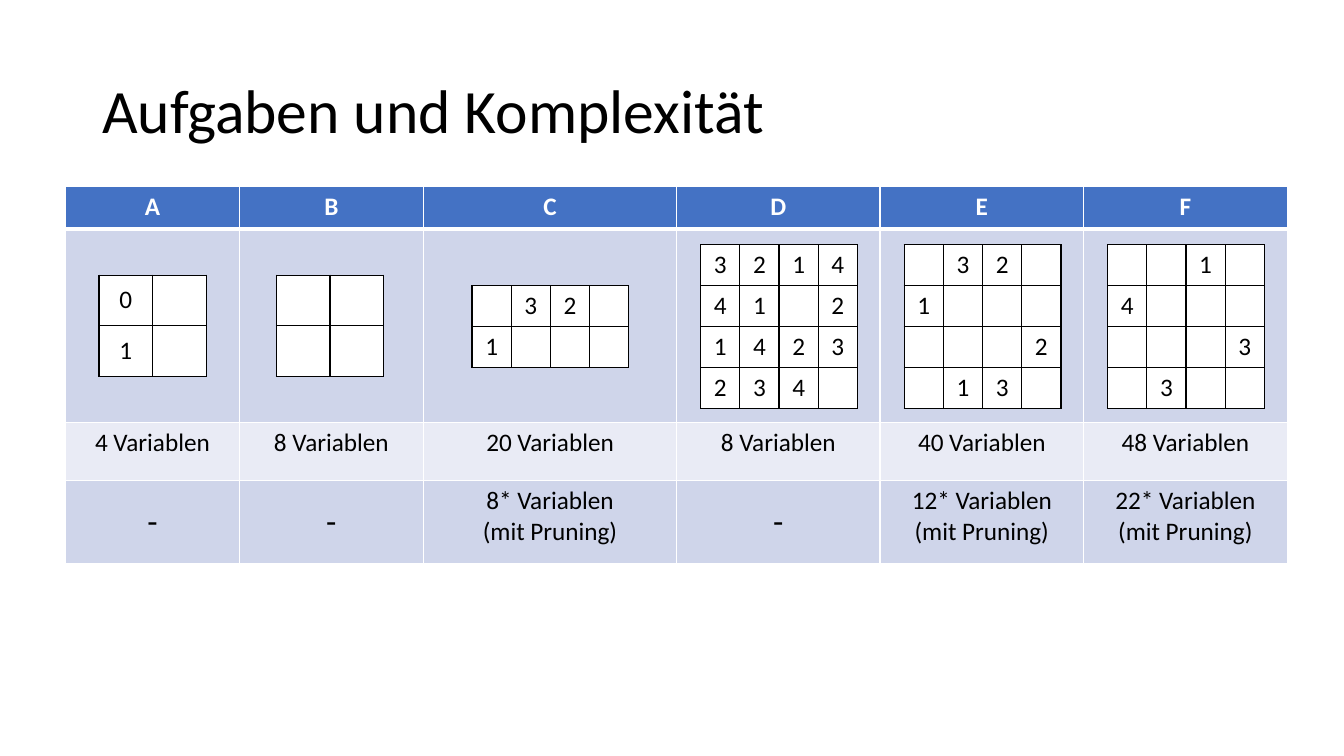
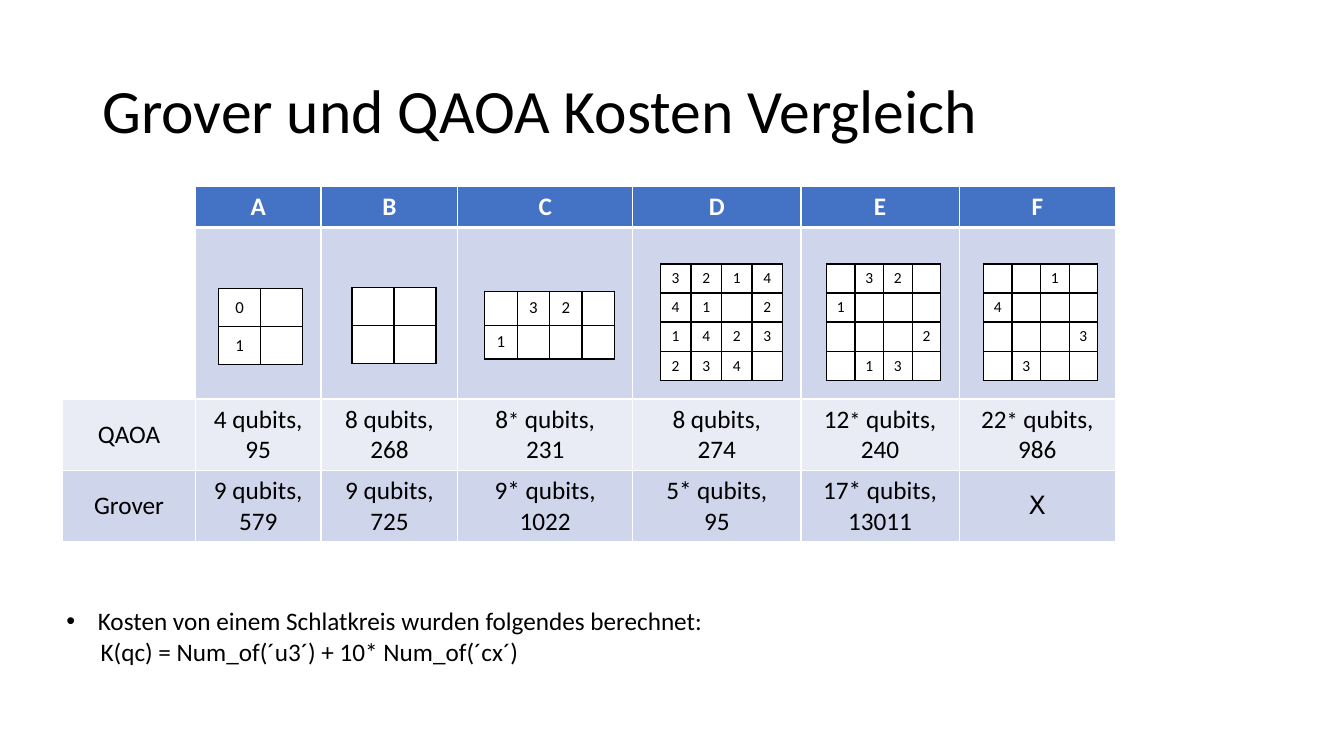
from dataclasses import dataclass

from lxml.etree import SubElement
from pptx import Presentation
from pptx.dml.color import RGBColor
from pptx.enum.text import MSO_ANCHOR, PP_ALIGN
from pptx.oxml.ns import qn
from pptx.util import Pt


@dataclass(frozen=True)
class Theme:
    font: str = "Calibri"
    ink: str = "000000"
    paper: str = "FFFFFF"
    header: str = "4472C4"
    band_dark: str = "CFD5EA"
    band_light: str = "E9EBF5"
    title_size: float = 44
    dash_size: float = 24
    body_size: float = 18
    star_size: float = 16
    small_size: float = 12
    tiny_size: float = 11
    line: float = 1
    header_line: float = 3


T = Theme()
MIDDLE, TOP = MSO_ANCHOR.MIDDLE, MSO_ANCHOR.TOP

LETTERS = "ABCDEF"
PUZZLES = {
    "A": ["0 ", "1 "],
    "B": ["  ", "  "],
    "C": [" 32 ", "1   "],
    "D": ["3214", "41 2", "1423", "234 "],
    "E": [" 32 ", "1   ", "   2", " 13 "],
    "F": ["  1 ", "4   ", "   3", " 3  "],
}


class Deck:
    def __init__(self, theme):
        self.t = theme
        self.prs = Presentation()
        self.prs.slide_width, self.prs.slide_height = Pt(960), Pt(540)
        self.s = None

    def slide(self, title):
        self.s = self.prs.slides.add_slide(self.prs.slide_layouts[6])
        tf = self.box(66, 28.8, 828, 104.4, MIDDLE)
        p = tf.paragraphs[0]
        p.line_spacing = 0.9
        self.run(p, title, self.t.title_size)

    def box(self, x, y, w, h, anchor=TOP):
        tf = self.s.shapes.add_textbox(Pt(x), Pt(y), Pt(w), Pt(h)).text_frame
        tf.word_wrap = True
        tf.vertical_anchor = anchor
        return tf

    def run(self, p, text, size, color=None, bold=False):
        r = p.add_run()
        r.text = text
        f = r.font
        f.name, f.size, f.bold = self.t.font, Pt(size), bold
        f.color.rgb = RGBColor.from_string(color or self.t.ink)

    def note(self, x, y, w, h, bullet, formula):
        tf = self.box(x, y, w, h)
        p = tf.paragraphs[0]
        pPr = p._p.get_or_add_pPr()
        pPr.set("marL", str(Pt(22.5)))
        pPr.set("indent", str(Pt(-22.5)))
        SubElement(pPr, qn("a:buFont")).set("typeface", "Arial")
        SubElement(pPr, qn("a:buChar")).set("char", "•")
        self.run(p, bullet, self.t.body_size)
        p = tf.add_paragraph()
        p._p.get_or_add_pPr().set("marL", str(Pt(24.5)))
        self.run(p, formula, self.t.body_size)

    def table(self, x, y, cols, rows):
        sp = self.s.shapes.add_table(len(rows), len(cols), Pt(x), Pt(y),
                                     Pt(sum(cols)), Pt(sum(rows)))
        tbl = sp.table
        tbl.first_row = tbl.horz_banding = False
        for col, w in zip(tbl.columns, cols):
            col.width = Pt(w)
        for row, h in zip(tbl.rows, rows):
            row.height = Pt(h)
        return tbl

    def cell(self, cell, paras, fill, border, size, color=None, bold=False,
             anchor=MIDDLE, top=None, bottom=None):
        tcPr = cell._tc.get_or_add_tcPr()
        for side, width in zip("LRTB", (None, None, top, bottom)):
            ln = SubElement(tcPr, qn(f"a:ln{side}"), w=str(Pt(width or self.t.line)))
            SubElement(SubElement(ln, qn("a:solidFill")), qn("a:srgbClr"), val=border)
        cell.fill.solid()
        cell.fill.fore_color.rgb = RGBColor.from_string(fill)
        cell.vertical_anchor = anchor
        tf = cell.text_frame
        for i, runs in enumerate(paras):
            p = tf.add_paragraph() if i else tf.paragraphs[0]
            p.alignment = PP_ALIGN.CENTER
            for text, run_size in runs:
                self.run(p, text, run_size or size, color, bold)
        if not paras:
            SubElement(tf.paragraphs[0]._p, qn("a:endParaRPr"), sz=str(int(size * 100)))

    def overview(self, x, y, cols, heights, body, labels=0, anchors=None):
        t = self.t
        tbl = self.table(x, y, cols, heights)
        blank = [()] * labels
        rows = [blank + [lines(c) for c in LETTERS], [()] * len(cols), *body]
        fills = [t.header, t.band_dark, t.band_light, t.band_dark]
        for i, row in enumerate(rows):
            head = i == 0
            for j, paras in enumerate(row):
                self.cell(tbl.cell(i, j), paras,
                          t.paper if i < 2 and j < labels else fills[i],
                          t.paper, t.body_size, t.paper if head else t.ink, head,
                          TOP if head else anchors(i, paras) if anchors else MIDDLE,
                          t.header_line if i == 1 else None,
                          t.header_line if head else None)

    def puzzle(self, name, x, y, w, h, size):
        grid = PUZZLES[name]
        tbl = self.table(x, y, [w] * len(grid[0]), [h] * len(grid))
        for i, row in enumerate(grid):
            for j, digit in enumerate(row):
                c = tbl.cell(i, j)
                c.margin_left = c.margin_right = 0
                self.cell(c, lines(digit.strip()), self.t.paper, self.t.ink, size)


def lines(text):
    return [[(line, None)] for line in text.split("\n")] if text else []


def starred(count, cost):
    return [[(count, None), ("*", T.star_size), (" qubits,", None)], [(cost, None)]]


def qubits(count, cost):
    return lines(f"{count} qubits,\n{cost}")


def pruned(count):
    return lines(f"{count}* Variablen\n(mit Pruning)")


def complexity(d):
    d.slide("Aufgaben und Komplexität")
    dash = [[("-", T.dash_size)]]
    counts = [lines(f"{n} Variablen") for n in (4, 8, 20, 8, 40, 48)]
    reduced = [dash, dash, pruned(8), dash, pruned(12), pruned(22)]
    d.overview(47, 133.4, [123.8, 131.8, 180.7] + [145.4] * 3, [30.2, 138, 41.6, 59.2],
               [counts, reduced],
               anchors=lambda i, paras: MIDDLE if paras == dash else TOP)
    for name, x, y, w, h in [
        ("A", 70.7, 196.5, 38.3, 36.1),
        ("B", 197.4, 196.5, 38.3, 36.1),
        ("C", 337.2, 204, 28, 29.2),
        ("D", 500.5, 174.8, 28, 29.2),
        ("E", 645.9, 174.8, 28, 29.2),
        ("F", 791.2, 174.8, 28, 29.2),
    ]:
        d.puzzle(name, x, y, w, h, T.body_size)


def costs(d):
    d.slide("Grover und QAOA Kosten Vergleich")
    qaoa = [lines("QAOA"), qubits("4", 95), qubits("8", 268), starred("8", "231"),
            qubits("8", 274), starred("12", "240"), starred("22", "986")]
    grover = [lines("Grover"), qubits("9", 579), qubits("9", 725), qubits("9*", 1022),
              qubits("5*", 95), qubits("17*", 13011), lines("𝖷")]
    d.overview(44.8, 133.4, [94.8, 89.8, 97.7, 124.8, 120.4, 112.9, 111.8],
               [29.2, 122.4, 51.1, 51.1], [qaoa, grover], labels=1)
    for name, x, y, w, h, size in [
        ("A", 156.2, 206, 30, 27.2, T.small_size),
        ("B", 251.5, 205.2, 30, 27.2, T.small_size),
        ("C", 346.2, 208.1, 23.2, 24.2, T.small_size),
        ("D", 471.7, 188.5, 21.8, 20.8, T.tiny_size),
        ("E", 590.4, 188.5, 20.4, 20.8, T.tiny_size),
        ("F", 702.5, 188.5, 20.4, 20.8, T.tiny_size),
    ]:
        d.puzzle(name, x, y, w, h, size)
    d.note(40.3, 429.1, 474.5, 51.1,
           "Kosten von einem Schlatkreis wurden folgendes berechnet:",
           "K(qc) = Num_of(´u3´) + 10* Num_of(´cx´)")


def main():
    d = Deck(T)
    complexity(d)
    costs(d)
    d.prs.save("out.pptx")


if __name__ == "__main__":
    main()
